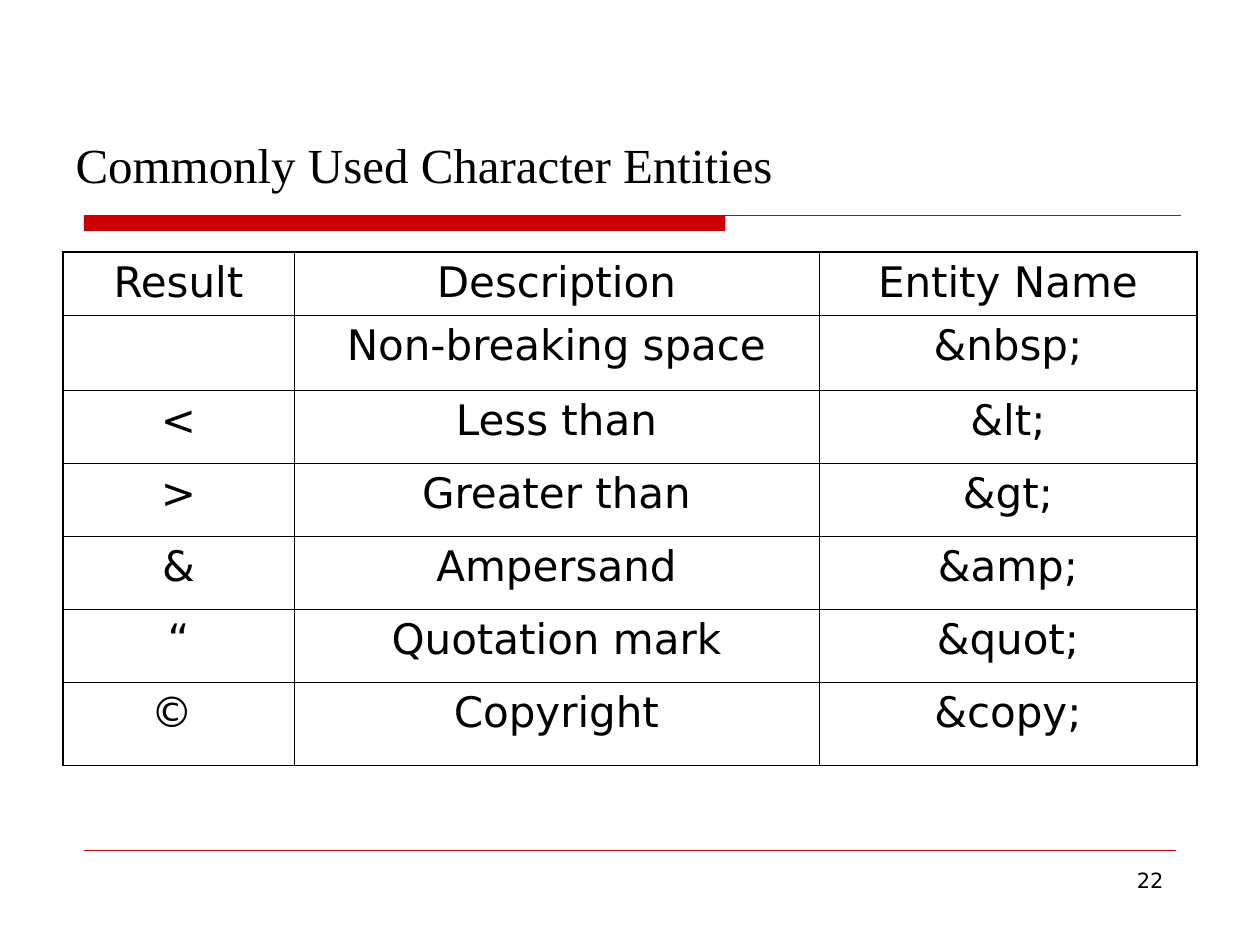
from lxml.etree import SubElement
from pptx import Presentation
from pptx.dml.color import RGBColor
from pptx.enum.shapes import MSO_CONNECTOR as Connector, MSO_SHAPE as Shape
from pptx.enum.text import MSO_ANCHOR as Anchor, PP_ALIGN as Align
from pptx.oxml.ns import qn
from pptx.util import Pt

TITLE = "Commonly Used Character Entities"
PAGE_NUMBER = "22"
ENTITIES = [
    ("Result", "Description", "Entity Name"),
    ("", "Non-breaking space", "&nbsp;"),
    ("<", "Less than", "&lt;"),
    (">", "Greater than", "&gt;"),
    ("&", "Ampersand", "&amp;"),
    ("“", "Quotation mark", "&quot;"),
    ("© ", "Copyright", "&copy;"),
]
COLUMN_WIDTHS = [132, 300, 216]
ROW_HEIGHTS = [36, 43] + [41.75] * 4 + [47.5]
OUTER, INNER = 1.08, 0.45

BLACK = RGBColor(0, 0, 0)
RED = RGBColor(0xCC, 0, 0)
SANS, SERIF = "DejaVu Sans", "Times New Roman"


def write(frame, text, size, font, align):
    para = frame.paragraphs[0]
    para.text = text
    para.alignment = align
    para.font.size = Pt(size)
    para.font.name = font
    para.font.color.rgb = BLACK


def add_rule(page, left, right, top, width):
    rule = page.shapes.add_connector(
        Connector.STRAIGHT, Pt(left), Pt(top), Pt(right), Pt(top))
    rule.line.color.rgb = RED
    rule.line.width = Pt(width)
    SubElement(rule._element.spPr, qn("a:effectLst"))


def set_borders(cell, widths):
    properties = cell._tc.get_or_add_tcPr()
    for side, width in widths.items():
        border = SubElement(properties, qn(f"a:ln{side}"), w=str(Pt(width)))
        fill = SubElement(border, qn("a:solidFill"))
        SubElement(fill, qn("a:srgbClr"), val=str(BLACK))


def add_entity_table(page):
    last_row, last_column = len(ENTITIES) - 1, len(COLUMN_WIDTHS) - 1
    table = page.shapes.add_table(
        len(ENTITIES), len(COLUMN_WIDTHS), Pt(36), Pt(144),
        Pt(sum(COLUMN_WIDTHS)), Pt(sum(ROW_HEIGHTS))).table
    table.first_row = table.horz_banding = False
    for column, width in zip(table.columns, COLUMN_WIDTHS):
        column.width = Pt(width)
    for row, height in zip(table.rows, ROW_HEIGHTS):
        row.height = Pt(height)
    for r, entity in enumerate(ENTITIES):
        for c, text in enumerate(entity):
            cell = table.cell(r, c)
            write(cell.text_frame, text, 24, SANS, Align.CENTER)
            set_borders(cell, {
                "L": OUTER if c == 0 else INNER,
                "R": OUTER if c == last_column else INNER,
                "T": OUTER if r == 0 else INNER,
                "B": OUTER if r == last_row else INNER,
            })
            cell.fill.background()


def main():
    deck = Presentation()
    deck.slide_width, deck.slide_height = Pt(720), Pt(540)
    page = deck.slides.add_slide(deck.slide_layouts[5])

    bar = page.shapes.add_shape(
        Shape.RECTANGLE, Pt(48), Pt(123), Pt(366.5), Pt(9))
    bar.shadow.inherit = False
    bar.fill.solid()
    bar.fill.fore_color.rgb = RED
    bar.line.fill.background()
    add_rule(page, 48, 675, 123, 0.75)
    add_rule(page, 48, 672, 486, 0.25)

    title = page.shapes.title
    title.left, title.top, title.width, title.height = Pt(36), Pt(24), Pt(648), Pt(90)
    title.text_frame.vertical_anchor = Anchor.BOTTOM
    write(title.text_frame, TITLE, 28, SERIF, Align.LEFT)

    add_entity_table(page)

    number = page.shapes.add_textbox(Pt(516), Pt(492), Pt(156), Pt(37.5))
    number.text_frame.word_wrap = True
    write(number.text_frame, PAGE_NUMBER, 12, SANS, Align.RIGHT)
    deck.save("out.pptx")


if __name__ == "__main__":
    main()
